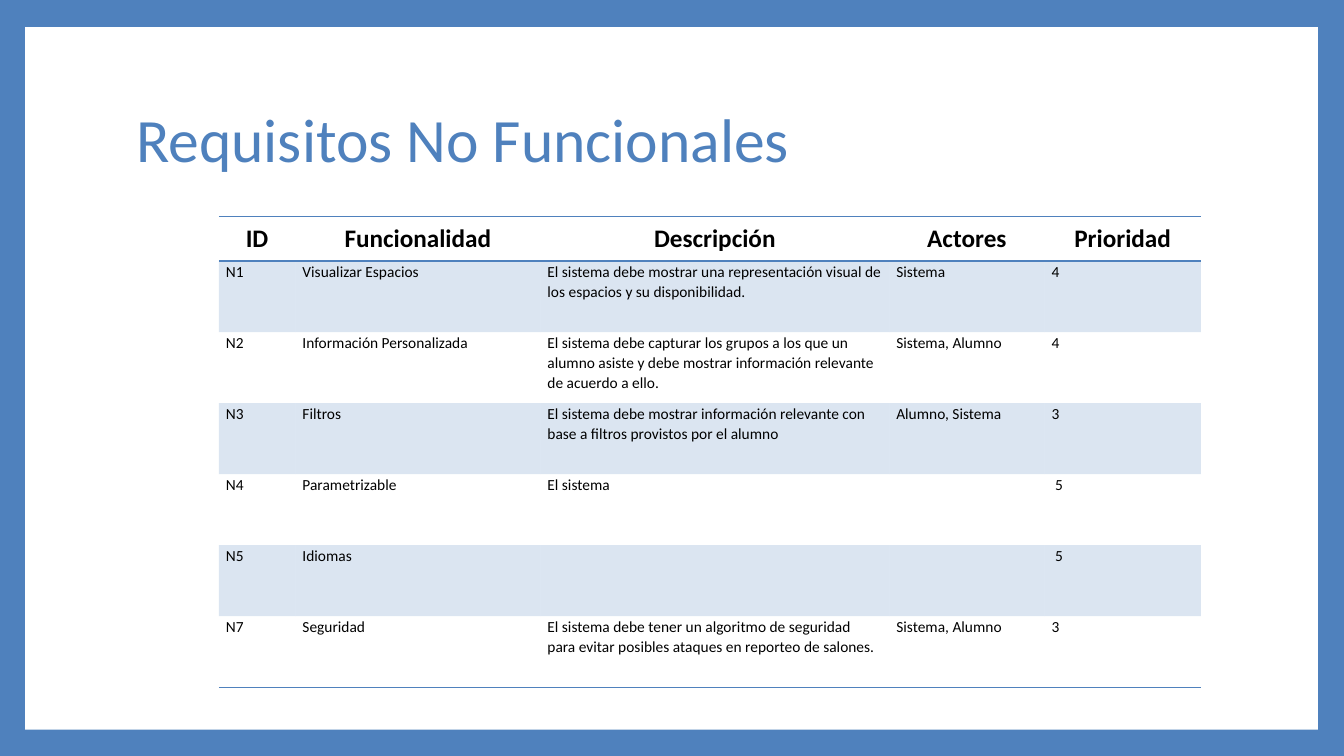
from lxml import etree
from pptx import Presentation
from pptx.dml.color import RGBColor
from pptx.enum.shapes import MSO_SHAPE
from pptx.enum.text import MSO_ANCHOR, PP_ALIGN
from pptx.oxml.ns import qn
from pptx.util import Inches, Pt

RECTANGLE = MSO_SHAPE.RECTANGLE
MIDDLE = MSO_ANCHOR.MIDDLE
TOP = MSO_ANCHOR.TOP
LEFT = PP_ALIGN.LEFT
CENTER = PP_ALIGN.CENTER

FONT = "Calibri"
BLUE = "4F81BD"
WHITE = "FFFFFF"
BLACK = "000000"
PLAIN_TABLE_STYLE = "{2D5ABB26-0587-4C30-8999-92F81FD0307C}"

TITLE_ONLY_LAYOUT = 5
COLUMN_WIDTHS = [0.76, 2.43, 3.46, 1.54, 1.55]
HEADER_HEIGHT = 0.44
HEADER = ["ID", "Funcionalidad", "Descripción", "Actores", "Prioridad"]
REQUIREMENTS = [
    ["N1", "Visualizar Espacios",
     "El sistema debe mostrar una representación visual de los espacios y su disponibilidad.",
     "Sistema", "4"],
    ["N2", "Información Personalizada",
     "El sistema debe capturar los grupos a los que un alumno asiste y debe mostrar "
     "información relevante de acuerdo a ello.",
     "Sistema, Alumno", "4"],
    ["N3", "Filtros",
     "El sistema debe mostrar información relevante con base a filtros provistos por el alumno",
     "Alumno, Sistema", "3"],
    ["N4", "Parametrizable", "El sistema", "", " 5"],
    ["N5", "Idiomas", "", "", " 5"],
    ["N7", "Seguridad",
     "El sistema debe tener un algoritmo de seguridad para evitar posibles ataques en "
     "reporteo de salones.",
     "Sistema, Alumno", "3"],
]


def color(hex_string):
    return RGBColor.from_string(hex_string)


def format_text(text_frame, size, hex_string, alignment, spacing, bold=False):
    for paragraph in text_frame.paragraphs:
        paragraph.alignment = alignment
        paragraph.line_spacing = spacing
        for run in paragraph.runs:
            run.font.name = FONT
            run.font.size = Pt(size)
            run.font.bold = bold
            run.font.color.rgb = color(hex_string)


def add_frame(slide, left, top, width, height):
    """Blue background with a white panel that leaves a border visible."""
    slide.background.fill.solid()
    slide.background.fill.fore_color.rgb = color(BLUE)
    panel = slide.shapes.add_shape(
        RECTANGLE, Inches(left), Inches(top), Inches(width), Inches(height))
    panel.shadow.inherit = False
    panel.fill.solid()
    panel.fill.fore_color.rgb = color(WHITE)
    panel.line.fill.background()
    # The panel goes behind the title placeholder.
    slide.shapes.element.insert(2, panel.element)


def place_title(slide, left, top, width, height):
    title = slide.shapes.title
    title.left, title.top = Inches(left), Inches(top)
    title.width, title.height = Inches(width), Inches(height)
    title.text_frame.text = "Requisitos No Funcionales"
    title.text_frame.word_wrap = True
    title.text_frame.vertical_anchor = MIDDLE
    format_text(title.text_frame, 44, BLUE, LEFT, 0.9)


def add_border(cell, side):
    """Draw a thin blue line; side is lnT or lnB."""
    properties = cell._tc.get_or_add_tcPr()
    line = etree.SubElement(properties, qn(f"a:{side}"), w=str(Pt(1)))
    fill = etree.SubElement(line, qn("a:solidFill"))
    etree.SubElement(fill, qn("a:srgbClr"), val=BLUE)


def fill_band(cell):
    """Fill with blue at 20 % opacity."""
    cell.fill.solid()
    cell.fill.fore_color.rgb = color(BLUE)
    for tint in cell._tc.tcPr.findall(f"{qn('a:solidFill')}/{qn('a:srgbClr')}"):
        etree.SubElement(tint, qn("a:alpha"), val="20000")


def format_header_cell(cell):
    cell.vertical_anchor = MIDDLE
    format_text(cell.text_frame, 18, BLACK, CENTER, 1.0, bold=True)
    add_border(cell, "lnT")
    add_border(cell, "lnB")
    cell.fill.background()


def format_body_cell(cell, banded, last):
    cell.vertical_anchor = TOP
    cell.margin_left = cell.margin_right = Inches(0.07)
    cell.margin_top = cell.margin_bottom = 0
    format_text(cell.text_frame, 11, BLACK, LEFT, 1.07)
    if last:
        add_border(cell, "lnB")
    if banded:
        fill_band(cell)
    else:
        cell.fill.background()


def add_requirements_table(slide, left, top, width, height):
    rows = [HEADER] + REQUIREMENTS
    frame = slide.shapes.add_table(
        len(rows), len(HEADER), Inches(left), Inches(top), Inches(width), Inches(height))
    for style in frame.element.iter(qn("a:tableStyleId")):
        style.text = PLAIN_TABLE_STYLE
    table = frame.table
    table.first_row = True
    table.horz_banding = False
    for column, column_width in zip(table.columns, COLUMN_WIDTHS):
        column.width = Inches(column_width)
    body_height = (height - HEADER_HEIGHT) / len(REQUIREMENTS)
    for row_index, texts in enumerate(rows):
        table.rows[row_index].height = Inches(body_height if row_index else HEADER_HEIGHT)
        for column_index, text in enumerate(texts):
            cell = table.cell(row_index, column_index)
            cell.text_frame.text = text
            if row_index == 0:
                format_header_cell(cell)
            else:
                format_body_cell(cell, row_index % 2 == 1, row_index == len(REQUIREMENTS))


def main():
    presentation = Presentation()
    presentation.slide_width = Inches(13.33)
    presentation.slide_height = Inches(7.5)
    slide = presentation.slides.add_slide(presentation.slide_layouts[TITLE_ONLY_LAYOUT])
    add_frame(slide, 0.25, 0.27, 12.82, 6.97)
    place_title(slide, 1.25, 0.67, 10.8, 1.48)
    add_requirements_table(slide, 2.17, 2.15, 9.75, 4.67)
    presentation.save("out.pptx")


if __name__ == "__main__":
    main()
